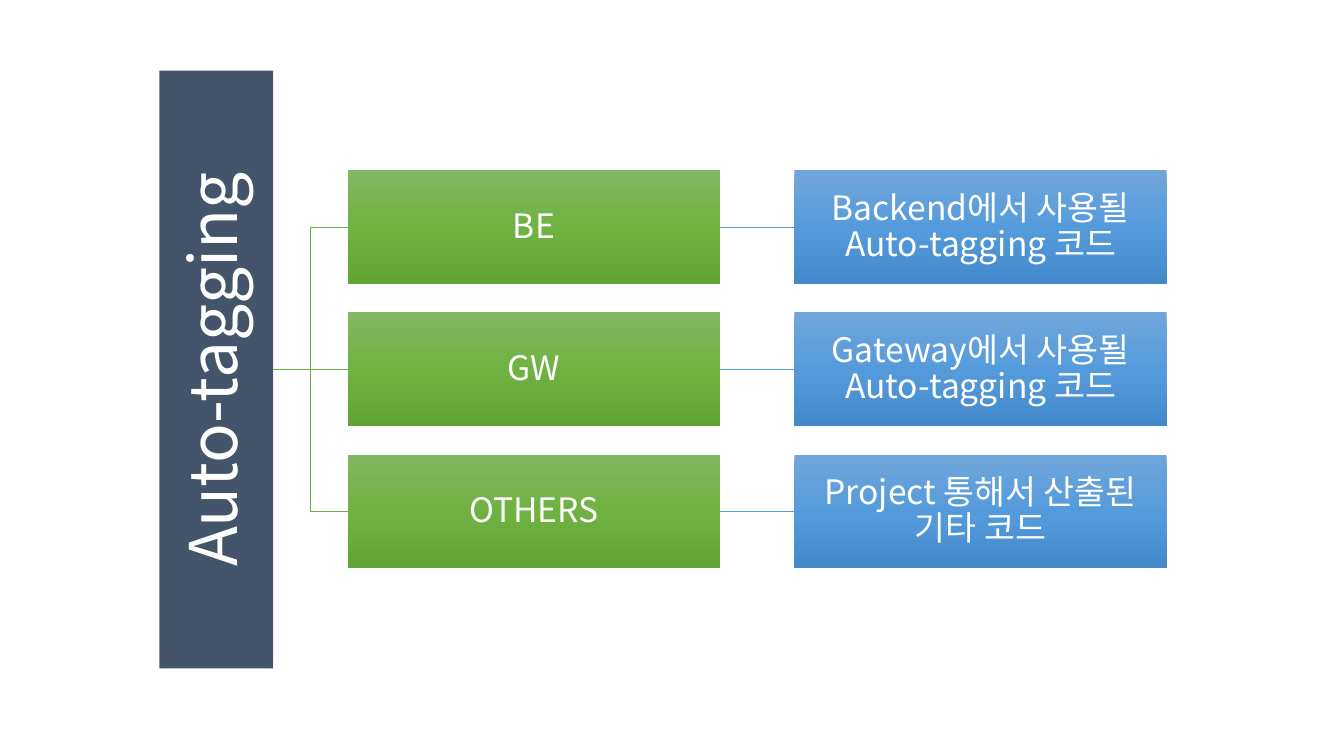
from copy import deepcopy
from dataclasses import dataclass

from lxml import etree
from pptx import Presentation
from pptx.dml import color
from pptx.enum import shapes, text
from pptx.oxml import ns
from pptx.util import Inches, Pt


# Theme: colours and type sizes
@dataclass(frozen=True)
class Theme:
    font: str = "Noto Sans CJK KR"
    white: str = "FFFFFF"
    navy: str = "44546A"
    green_line: str = "70AD47"
    blue_line: str = "5B9BD5"
    green_blend: tuple[str, ...] = ("81B861", "6FB242", "62A336")
    blue_blend: tuple[str, ...] = ("71A6DB", "559BDB", "448ACA")
    title_size: int = 47
    box_size: int = 24


@dataclass(frozen=True)
class Branch:
    name: str
    description: str


THEME = Theme()
BRANCHES = [
    Branch("BE", "Backend에서 사용될 Auto-tagging 코드"),
    Branch("GW", "Gateway에서 사용될 Auto-tagging 코드"),
    Branch("OTHERS", "Project 통해서 산출된 기타 코드"),
]

# Layout in inches
BOX_WIDTH, BOX_HEIGHT = 3.69, 1.13
NAME_LEFT, DESCRIPTION_LEFT = 3.45, 7.88
FIRST_TOP, ROW_STEP = 1.69, 1.41
TITLE_LENGTH, TITLE_RIGHT = 5.93, 2.71
MIDDLE = FIRST_TOP + ROW_STEP + BOX_HEIGHT / 2


def rgb(value: str) -> color.RGBColor:
    return color.RGBColor.from_string(value)


def apply(target, values: dict) -> None:
    for name, value in values.items():
        setattr(target, name, value)


def place(shape, left: float, top: float, width: float, height: float) -> None:
    apply(shape, {"left": Inches(left), "top": Inches(top),
                  "width": Inches(width), "height": Inches(height)})


def write(shape, words: str, size: int, inset: float) -> None:
    frame = shape.text_frame
    apply(frame, {"word_wrap": True, "auto_size": text.MSO_AUTO_SIZE.NONE,
                  "vertical_anchor": text.MSO_ANCHOR.MIDDLE})
    apply(frame, {f"margin_{side}": Inches(inset)
                  for side in ("left", "top", "right", "bottom")})
    para = frame.paragraphs[0]
    apply(para, {"alignment": text.PP_ALIGN.CENTER, "line_spacing": 0.9})
    span = para.add_run()
    span.text = words
    apply(span.font, {"name": THEME.font, "size": Pt(size)})
    span.font.color.rgb = rgb(THEME.white)
    # Korean letters take the East Asian typeface
    etree.SubElement(span.font._element, ns.qn("a:ea"), typeface=THEME.font)


def blend(shape, colours: tuple[str, ...]) -> None:
    shape.fill.gradient()
    shape.fill.gradient_angle = 270
    stop_list = shape._element.spPr.find(".//" + ns.qn("a:gsLst"))
    stop_list.append(deepcopy(stop_list[-1]))
    for index, (stop, colour) in enumerate(zip(shape.fill.gradient_stops, colours)):
        stop.position = index / (len(colours) - 1)
        stop.color.rgb = rgb(colour)


def add_box(page, words: str, left: float, top: float, colours: tuple[str, ...]) -> None:
    box = page.shapes.add_shape(shapes.MSO_SHAPE.RECTANGLE, 0, 0, 0, 0)
    place(box, left, top, BOX_WIDTH, BOX_HEIGHT)
    box.shadow.inherit = False
    box.line.fill.background()
    blend(box, colours)
    write(box, words, THEME.box_size, 0.02)


def add_link(page, start: tuple[float, float], end: tuple[float, float], colour: str) -> None:
    level = abs(start[1] - end[1]) < 0.01
    kind = shapes.MSO_CONNECTOR.STRAIGHT if level else shapes.MSO_CONNECTOR.ELBOW
    link = page.shapes.add_connector(kind, *(Inches(value) for value in start + end))
    link.line.width = Pt(1)
    link.line.color.rgb = rgb(colour)
    etree.SubElement(link._element.spPr, ns.qn("a:effectLst"))


def add_title(page, words: str) -> None:
    title = page.shapes.title
    # The bar is turned about its centre, so its length runs vertically
    place(title, TITLE_RIGHT - (BOX_HEIGHT + TITLE_LENGTH) / 2, MIDDLE - BOX_HEIGHT / 2,
          TITLE_LENGTH, BOX_HEIGHT)
    title.rotation = 270
    title.fill.solid()
    title.fill.fore_color.rgb = rgb(THEME.navy)
    write(title, words, THEME.title_size, 0.03)


def main() -> None:
    deck = Presentation()
    apply(deck, {"slide_width": Inches(13.33), "slide_height": Inches(7.5)})
    page = deck.slides.add_slide(deck.slide_layouts.get_by_name("Title Only"))
    add_title(page, "Auto-tagging")

    # One row per branch: links, name and description
    for row, branch in enumerate(BRANCHES):
        top = FIRST_TOP + row * ROW_STEP
        centre = top + BOX_HEIGHT / 2
        add_link(page, (TITLE_RIGHT, MIDDLE), (NAME_LEFT, centre), THEME.green_line)
        add_link(page, (NAME_LEFT + BOX_WIDTH, centre), (DESCRIPTION_LEFT, centre),
                 THEME.blue_line)
        add_box(page, branch.name, NAME_LEFT, top, THEME.green_blend)
        add_box(page, branch.description, DESCRIPTION_LEFT, top, THEME.blue_blend)

    deck.save("out.pptx")


if __name__ == "__main__":
    main()
